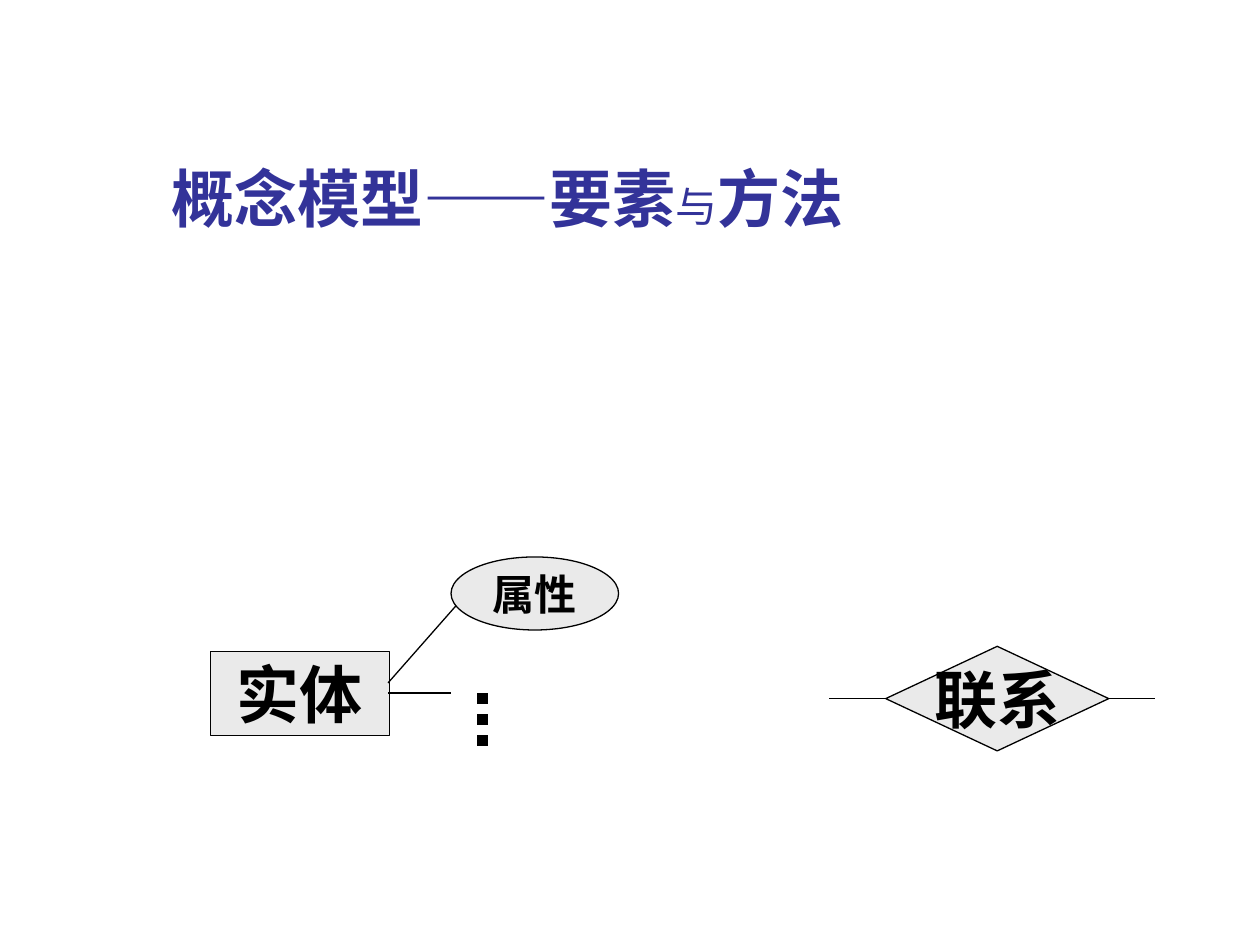
from dataclasses import dataclass

from lxml import etree
from pptx import Presentation
from pptx import util as u
from pptx.dml.color import RGBColor
from pptx.enum import dml, shapes, text
from pptx.oxml.ns import qn


@dataclass(frozen=True)
class Theme:
    ink: RGBColor = RGBColor(0, 0, 0)
    fill: RGBColor = RGBColor(0xEA, 0xEA, 0xEA)
    head: RGBColor = RGBColor(0x33, 0x33, 0x99)
    sans: str = "Roboto"
    serif: str = "Times New Roman"
    big: int = 36
    small: int = 24
    thin: float = 0.75
    thick: int = 6


THEME = Theme()


def style(run, face, size, color, bold=True):
    font = run.font
    font.name, font.size, font.bold = face, u.Pt(size), bold
    font.color.rgb = color


def add_title(slide, box, parts):
    title = slide.shapes.title
    title.left, title.top, title.width, title.height = map(u.Inches, box)
    frame = title.text_frame
    frame.vertical_anchor = text.MSO_ANCHOR.BOTTOM
    para = frame.paragraphs[0]
    para.alignment = text.PP_ALIGN.LEFT
    for words, size, bold in parts:
        run = para.add_run()
        run.text = words
        style(run, THEME.sans, size, THEME.head, bold)


def add_node(slide, kind, box, label, size):
    node = slide.shapes.add_shape(kind, *map(u.Inches, box))
    node.shadow.inherit = False
    node.fill.solid()
    node.fill.fore_color.rgb = THEME.fill
    node.line.color.rgb = THEME.ink
    node.line.width = u.Pt(THEME.thin)
    frame = node.text_frame
    frame.text = label
    frame.word_wrap = False
    frame.vertical_anchor = text.MSO_ANCHOR.MIDDLE
    para = frame.paragraphs[0]
    para.alignment = text.PP_ALIGN.CENTER
    style(para.runs[0], THEME.serif, size, THEME.ink)


def add_line(slide, start, end, width=THEME.thin, dash=None):
    line = slide.shapes.add_connector(
        shapes.MSO_CONNECTOR.STRAIGHT, *map(u.Inches, (*start, *end)))
    line.line.color.rgb = THEME.ink
    line.line.width = u.Pt(width)
    if dash:
        line.line.dash_style = dash
    etree.SubElement(line._element.spPr, qn("a:effectLst"))


def add_entity(slide):
    kind = shapes.MSO_SHAPE
    add_node(slide, kind.RECTANGLE, (1.67, 5.17, 1.42, 0.67), "实体", THEME.big)
    add_line(slide, (3.08, 5.42), (3.67, 4.75))
    add_node(slide, kind.OVAL, (3.58, 4.42, 1.33, 0.58), "属性", THEME.small)
    add_line(slide, (3.08, 5.5), (3.58, 5.5))
    add_line(slide, (3.83, 5.5), (3.83, 6), THEME.thick,
             dml.MSO_LINE.ROUND_DOT)


def add_link(slide):
    left, top, width, height = box = (7.03, 5.13, 1.77, 0.83)
    mid = top + height / 2
    add_node(slide, shapes.MSO_SHAPE.DIAMOND, box, "联系", THEME.big)
    for start, end in ((left, 6.58), (left + width, 9.17)):
        add_line(slide, (start, mid), (end, mid))


def main():
    deck = Presentation()
    deck.slide_width, deck.slide_height = u.Inches(10), u.Inches(7.5)
    slide = deck.slides.add_slide(deck.slide_layouts[5])
    add_title(slide, (1.26, 0.67, 8.52, 1.25), (
        ("概念模型——要素", THEME.big, True),
        ("与", THEME.small, False),
        ("方法", THEME.big, True),
    ))
    add_entity(slide)
    add_link(slide)
    deck.save("out.pptx")


if __name__ == "__main__":
    main()
